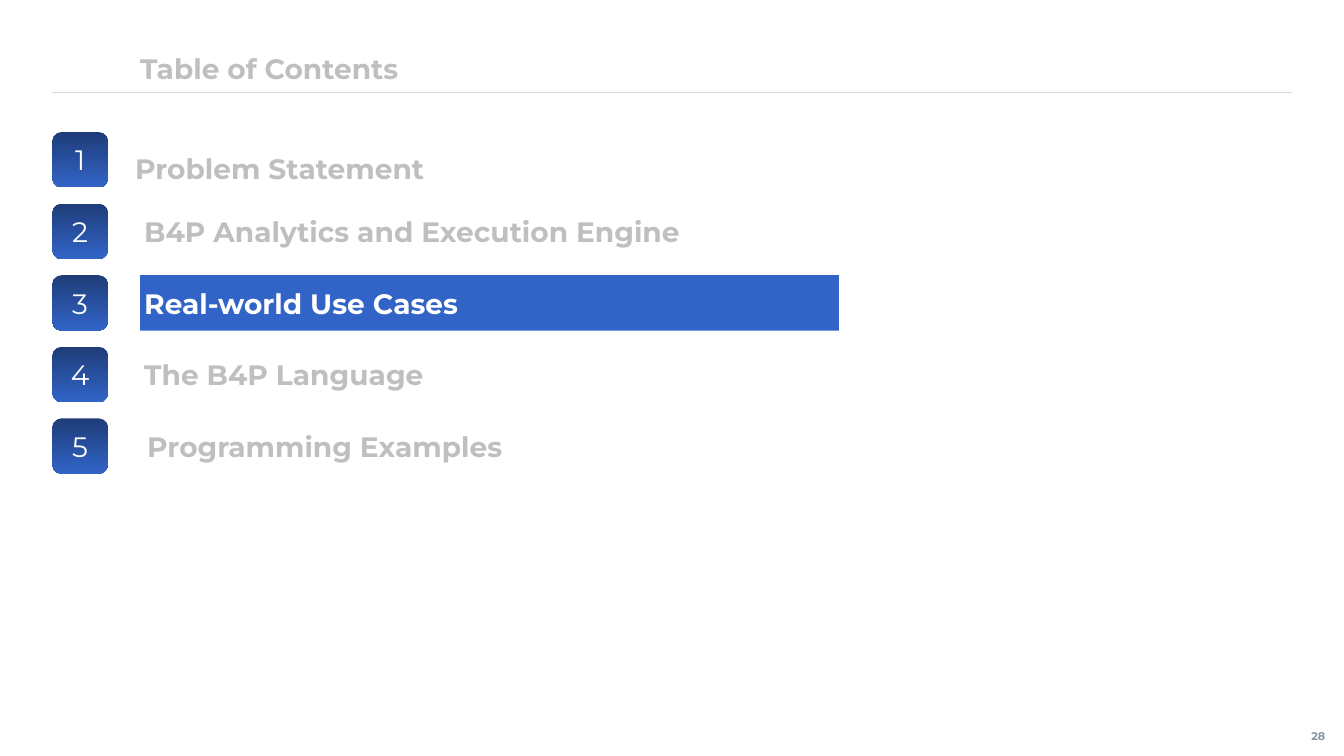
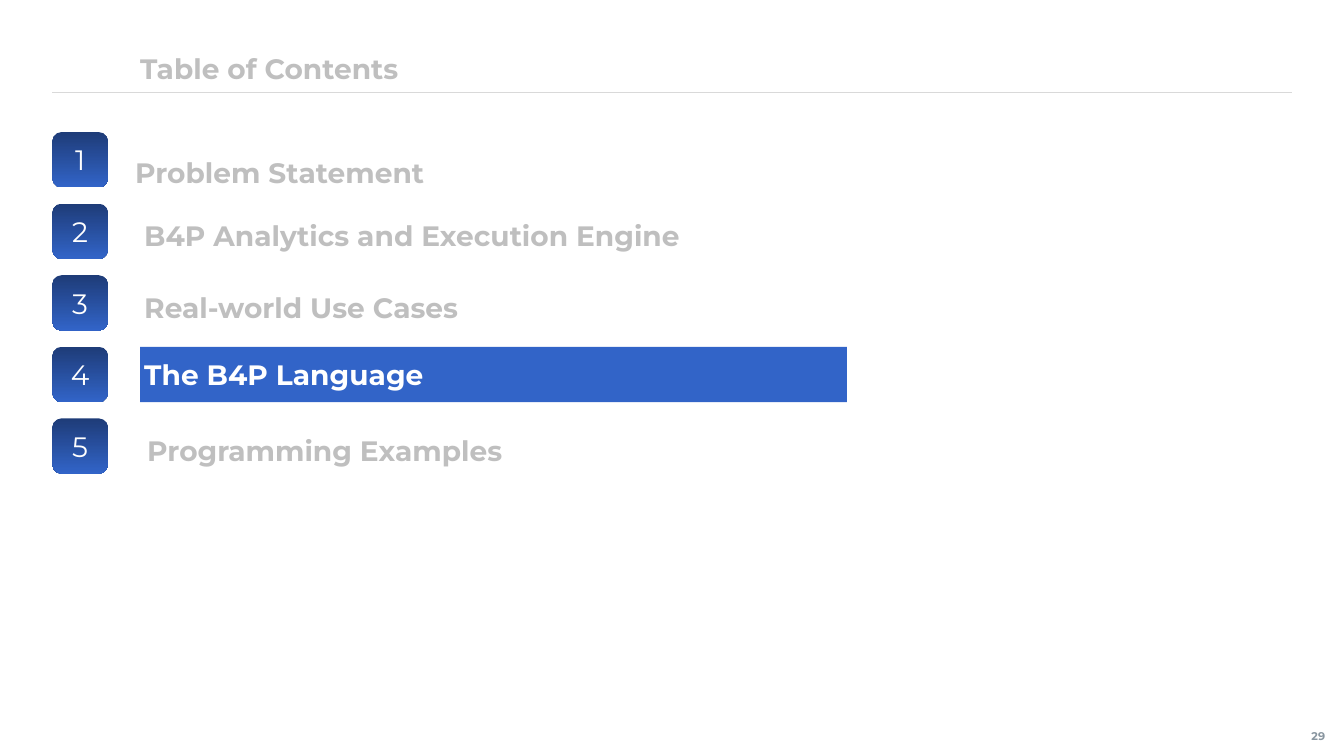
from typing import NamedTuple

from lxml.etree import SubElement
from pptx import Presentation
from pptx.dml.color import RGBColor
from pptx.enum.shapes import MSO_CONNECTOR, MSO_SHAPE
from pptx.enum.text import MSO_ANCHOR, PP_ALIGN
from pptx.oxml.ns import qn
from pptx.util import Inches, Pt

FONT = "Montserrat"
WHITE = RGBColor(0xFF, 0xFF, 0xFF)
NAVY = RGBColor(0x1E, 0x3C, 0x78)
BLUE = RGBColor(0x32, 0x64, 0xC8)
GREY = RGBColor(0xBF, 0xBF, 0xBF)
RULE_GREY = RGBColor(0xD9, 0xD9, 0xD9)
NUMBER_GREY = RGBColor(0x89, 0x96, 0xA0)

LEFT, RIGHT = 0.52, 12.81
TOP, PITCH, SIZE = 1.31, 0.71, 0.55
LABEL_WIDTH = 7.01
INSETS = (0.04, 0.04, 0.04, 0.04)


class Chapter(NamedTuple):
    title: str
    left: float = 1.39
    drop: float = 0
    width: float = LABEL_WIDTH


class Agenda(NamedTuple):
    page: int
    current: int
    label_drop: float


CHAPTERS = [
    Chapter("Problem Statement", left=1.3, drop=0.08),
    Chapter("B4P Analytics and Execution Engine"),
    Chapter("Real-world Use Cases", width=6.93),
    Chapter("The B4P Language"),
    Chapter("Programming Examples", left=1.42),
]
AGENDAS = [
    Agenda(page=28, current=3, label_drop=0),
    Agenda(page=29, current=4, label_drop=0.04),
]


def set_text(shape, text: str, *, size: float = 20, color: RGBColor = GREY,
             bold: bool = True, align=PP_ALIGN.LEFT, insets=INSETS) -> None:
    tf = shape.text_frame
    tf.word_wrap = True
    tf.vertical_anchor = MSO_ANCHOR.MIDDLE
    (tf.margin_left, tf.margin_top,
     tf.margin_right, tf.margin_bottom) = map(Inches, insets)
    p = tf.paragraphs[0]
    p.alignment = align
    r = p.add_run()
    r.text = text
    r.font.name = FONT
    r.font.size = Pt(size)
    r.font.bold = bold
    r.font.color.rgb = color


def add_text(s, text: str, left: float, top: float, width: float,
             height: float = SIZE, **text_format) -> None:
    box = s.shapes.add_textbox(*map(Inches, (left, top, width, height)))
    set_text(box, text, **text_format)


def add_box(s, kind, left: float, top: float, width: float):
    """Add a preset shape of row height without outline or shadow."""
    sp = s.shapes.add_shape(kind, *map(Inches, (left, top, width, SIZE)))
    sp.shadow.inherit = False
    sp.line.fill.background()
    return sp


def add_frame(s, page: int) -> None:
    """Add the title, the rule below it and the page number."""
    y = Inches(0.92)
    rule = s.shapes.add_connector(MSO_CONNECTOR.STRAIGHT, Inches(LEFT), y, Inches(RIGHT), y)
    rule.line.color.rgb = RULE_GREY
    rule.line.width = Pt(1)
    SubElement(rule._element.spPr, qn("a:effectLst"))
    add_text(s, "Table of Contents", 1.35, 0.4, LABEL_WIDTH)
    add_text(s, str(page), 12.89, 7.11, 0.45, 0.39, size=8, color=NUMBER_GREY,
             align=PP_ALIGN.CENTER, insets=(0, 0.05, 0.08, 0.05))


def add_badge(s, number: int, top: float) -> None:
    badge = add_box(s, MSO_SHAPE.ROUNDED_RECTANGLE, LEFT, top, SIZE)
    badge.fill.gradient()
    badge.fill.gradient_angle = 270
    for stop, color in zip(badge.fill.gradient_stops, (NAVY, BLUE)):
        stop.color.rgb = color
    set_text(badge, str(number), color=WHITE, bold=False, align=PP_ALIGN.CENTER)


def add_agenda(prs, agenda: Agenda) -> None:
    s = prs.slides.add_slide(prs.slide_layouts[6])
    add_frame(s, agenda.page)
    for number, chapter in enumerate(CHAPTERS, start=1):
        top = TOP + (number - 1) * PITCH
        add_badge(s, number, top)
        if number == agenda.current:
            bar = add_box(s, MSO_SHAPE.RECTANGLE, chapter.left, top, chapter.width)
            bar.fill.solid()
            bar.fill.fore_color.rgb = BLUE
            set_text(bar, chapter.title, color=WHITE)
        else:
            add_text(s, chapter.title, chapter.left,
                     top + chapter.drop + agenda.label_drop, chapter.width)


def main() -> None:
    prs = Presentation()
    prs.slide_width, prs.slide_height = Inches(13.33), Inches(7.5)
    for agenda in AGENDAS:
        add_agenda(prs, agenda)
    prs.save("out.pptx")


if __name__ == "__main__":
    main()
